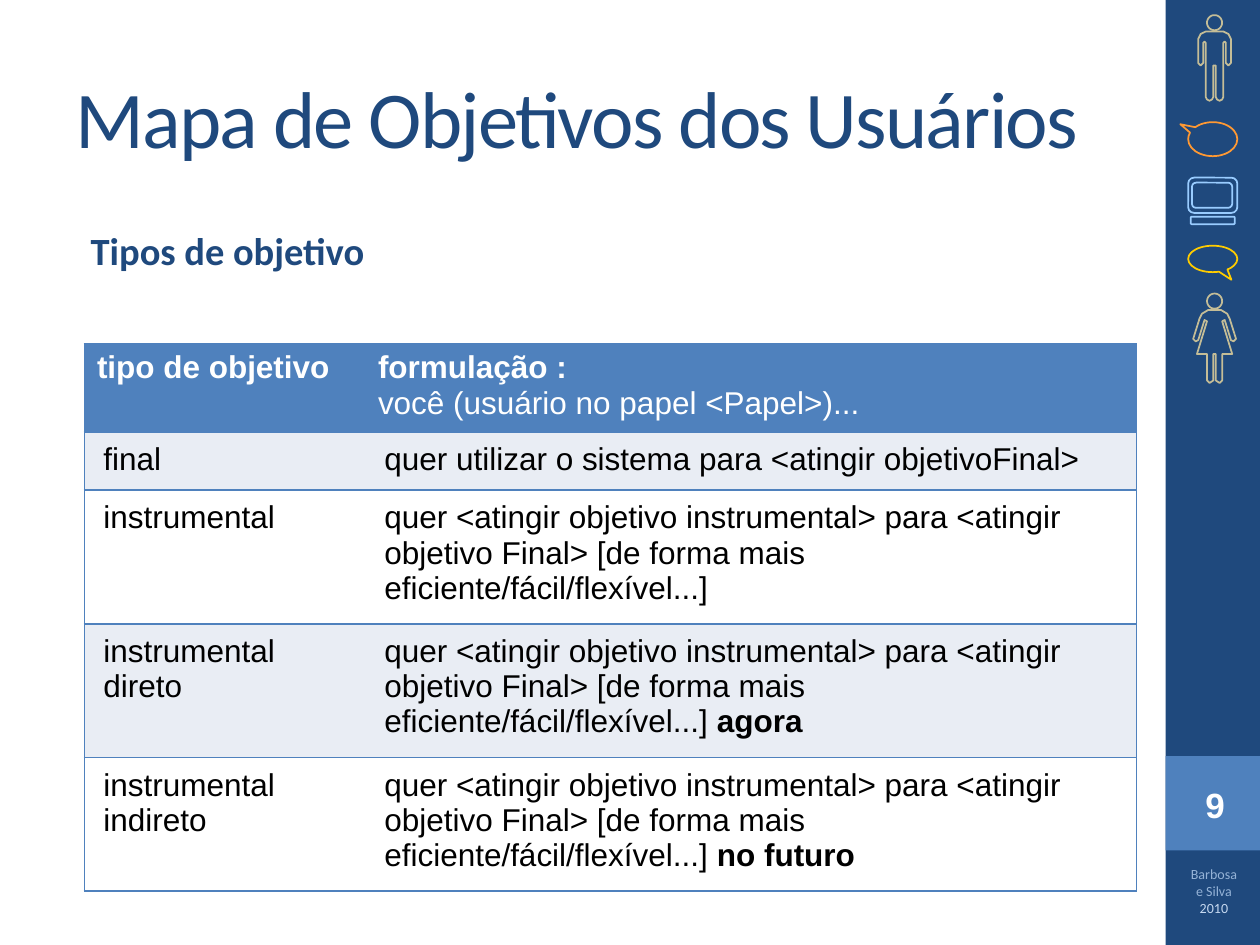
"""Builds the slide on the map of user goals."""
from math import cos, pi, sin

from lxml import etree
from pptx import Presentation
from pptx import util as u
from pptx.dml.color import RGBColor
from pptx.enum import shapes, text
from pptx.oxml.ns import qn

THEME = dict(
    navy="1F497D", blue="4F81BD", band="E9EDF4", white="FFFFFF", black="000000",
    tan="C4BD97", orange="FF9933", sky="99CCFF", gold="FFCC00",
    pale="95B3D7", light="C6D9F1",
    head="Calibri", body="Arial",
    title=46, sub=22, page=20, cell=18, foot=8,
)

TITLE = "Mapa de Objetivos dos Usuários"
SUB = "Tipos de objetivo"
PAGE = "9"
FOOT = [("Barbosa e Silva ", "pale"), ("2010", "light")]

AIM = ("quer <atingir objetivo instrumental> para <atingir objetivo Final> "
       "[de forma mais eﬁciente/fácil/flexível...]")
HEADS = [
    [[("tipo de objetivo", True)]],
    [[("formulação :", True)], [("você (usuário no papel <Papel>)...", False)]],
]
GOALS = [
    ("final", "quer utilizar o sistema para <atingir objetivoFinal>", ""),
    ("instrumental", AIM, ""),
    ("instrumental direto", AIM + " ", "agora"),
    ("instrumental indireto", AIM + " ", "no futuro"),
]
COLS = [2.23, 6.12]
ROWS = [0.66, 0.44, 1, 1, 1]

AXIS = 9.64
MAN = [(0.07, 0.25), (0.11, 0.27), (0.13, 0.31), (0.13, 0.5), (0.11, 0.52),
       (0.09, 0.5), (0.09, 0.34), (0.08, 0.33), (0.07, 0.34), (0.07, 0.77),
       (0.06, 0.79), (0.04, 0.8), (0.02, 0.79), (0.01, 0.77), (0.01, 0.52)]
WOMAN = [(0.05, 2.46), (0.1, 2.49), (0.12, 2.53), (0.17, 2.69), (0.15, 2.71),
         (0.13, 2.7), (0.08, 2.54), (0.06, 2.55), (0.14, 2.81), (0.06, 2.81),
         (0.06, 3.02), (0.04, 3.04), (0.01, 3.02), (0.01, 2.81)]
PEOPLE = [(0.18, MAN), (2.39, WOMAN)]

KIND = shapes.MSO_SHAPE
ICONS = [
    (KIND.OVAL_CALLOUT, (9.43, 0.97, 0.39, 0.27), "orange", (-0.66, -0.44)),
    (KIND.ROUNDED_RECTANGLE, (9.43, 1.41, 0.39, 0.28), "sky", ()),
    (KIND.ROUNDED_RECTANGLE, (9.46, 1.45, 0.32, 0.2), "sky", ()),
    (KIND.ROUNDED_RECTANGLE, (9.45, 1.72, 0.35, 0.06), "sky", ()),
    (KIND.OVAL_CALLOUT, (9.43, 1.95, 0.39, 0.21), "gold", (0.38, 0.79)),
]


def tint(name):
    return RGBColor.from_string(THEME[name])


def box(at):
    return [u.Inches(n) for n in at]


def put(frame, paras, size="cell", face="body", color="black", bold=False,
        align=None, indent=None):
    """Writes paragraphs of (text, overrides) runs into a text frame."""
    frame.word_wrap = True
    for i, runs in enumerate(paras):
        para = frame.add_paragraph() if i else frame.paragraphs[0]
        if indent is not None:
            props = para._p.get_or_add_pPr()
            props.set("marL", str(u.Inches(indent)))
            props.set("indent", "0")
            etree.SubElement(props, qn("a:buNone"))
        para.alignment = align
        para.space_before = u.Pt(0)
        for words, extra in runs:
            run = para.add_run()
            run.text = words
            font = run.font
            font.name, font.size = THEME[face], u.Pt(THEME[size])
            font.bold = extra.get("bold", bold)
            font.color.rgb = tint(extra.get("color", color))


def style(shape, fill=None, line=None):
    shape.shadow.inherit = False
    if fill:
        shape.fill.solid()
        shape.fill.fore_color.rgb = tint(fill)
    else:
        shape.fill.background()
    if line:
        shape.line.color.rgb = tint(line)
        shape.line.width = u.Pt(1)
    else:
        shape.line.fill.background()


def person(tree, mid, half):
    """Draws a head and a body mirrored about the axis."""
    ring = [(0.06 * cos(k * pi / 16), mid + 0.06 * sin(k * pi / 16))
            for k in range(32)]
    body = half + [(-x, y) for x, y in reversed(half)]
    head, trunk = [[(u.Inches(AXIS + x), u.Inches(y)) for x, y in part]
                   for part in (ring, body)]
    pen = tree.build_freeform(*head[0])
    pen.add_line_segments(head[1:], close=True)
    pen.move_to(*trunk[0])
    pen.add_line_segments(trunk[1:], close=True)
    style(pen.convert_to_shape(), line="tan")


def sidebar(tree):
    for at, fill in [((9.25, 0, 0.75, 7.5), "navy"), ((9.25, 6, 0.75, 0.75), "blue")]:
        style(tree.add_shape(KIND.RECTANGLE, *box(at)), fill=fill)
    for mid, half in PEOPLE:
        person(tree, mid, half)
    for kind, at, line, adjust in ICONS:
        icon = tree.add_shape(kind, *box(at))
        for i, value in enumerate(adjust):
            icon.adjustments[i] = value
        style(icon, line=line)
    mid = text.PP_ALIGN.CENTER
    page = tree.add_textbox(*box((9.31, 6.17, 0.67, 0.44)))
    put(page.text_frame, [[(PAGE, {})]], size="page", color="white", bold=True, align=mid)
    foot = tree.add_textbox(*box((9.33, 6.82, 0.61, 0.55)))
    runs = [(words, {"color": color}) for words, color in FOOT]
    put(foot.text_frame, [runs], size="foot", face="head", align=mid)


def edge(cell, sides):
    """Draws the named cell borders and clears the others."""
    props = cell._tc.get_or_add_tcPr()
    for side in "LRTB":
        line = etree.SubElement(props, qn("a:ln" + side), w=str(u.Pt(1)))
        if side in sides:
            fill = etree.SubElement(line, qn("a:solidFill"))
            etree.SubElement(fill, qn("a:srgbClr"), val=THEME["blue"])
        else:
            etree.SubElement(line, qn("a:noFill"))


def table(tree):
    at = (0.67, 2.73, sum(COLS), sum(ROWS))
    grid = tree.add_table(len(ROWS), len(COLS), *box(at)).table
    for col, wide in zip(grid.columns, COLS):
        col.width = u.Inches(wide)
    for row, high in zip(grid.rows, ROWS):
        row.height = u.Inches(high)
    lines = [HEADS] + [[[[(kind, False)]], [[(aim, False), (when, True)]]]
                       for kind, aim, when in GOALS]
    for r, line in enumerate(lines):
        for c, paras in enumerate(line):
            cell = grid.cell(r, c)
            edge(cell, ("LTB", "RTB")[c])
            cell.fill.solid()
            cell.fill.fore_color.rgb = tint(("band" if r % 2 else "white") if r else "blue")
            if r:
                cell.margin_left = cell.margin_right = u.Inches(0.15)
                cell.margin_top = cell.margin_bottom = u.Inches(0.08)
            runs = [[(words, {"bold": bold}) for words, bold in para if words]
                    for para in paras]
            put(cell.text_frame, runs, color="black" if r else "white")


def main():
    deck = Presentation()
    deck.slide_width, deck.slide_height = u.Inches(10), u.Inches(7.5)
    slide = deck.slides.add_slide(deck.slide_layouts[1])
    sidebar(slide.shapes)
    title, body = slide.placeholders
    for holder, at in [(title, (0.5, 0.3, 8.33, 1.25)), (body, (0.5, 1.75, 8.33, 5.25))]:
        holder.left, holder.top, holder.width, holder.height = box(at)
        holder.text_frame.auto_size = text.MSO_AUTO_SIZE.NONE
    title.text_frame.vertical_anchor = text.MSO_ANCHOR.MIDDLE
    put(title.text_frame, [[(TITLE, {})]], size="title", face="head", color="navy",
        align=text.PP_ALIGN.LEFT)
    title.text_frame.paragraphs[0].runs[0].font._element.set("spc", "-100")
    put(body.text_frame, [[(SUB, {})]], size="sub", face="head", color="navy",
        bold=True, indent=0.12)
    table(slide.shapes)
    deck.save("out.pptx")


if __name__ == "__main__":
    main()
